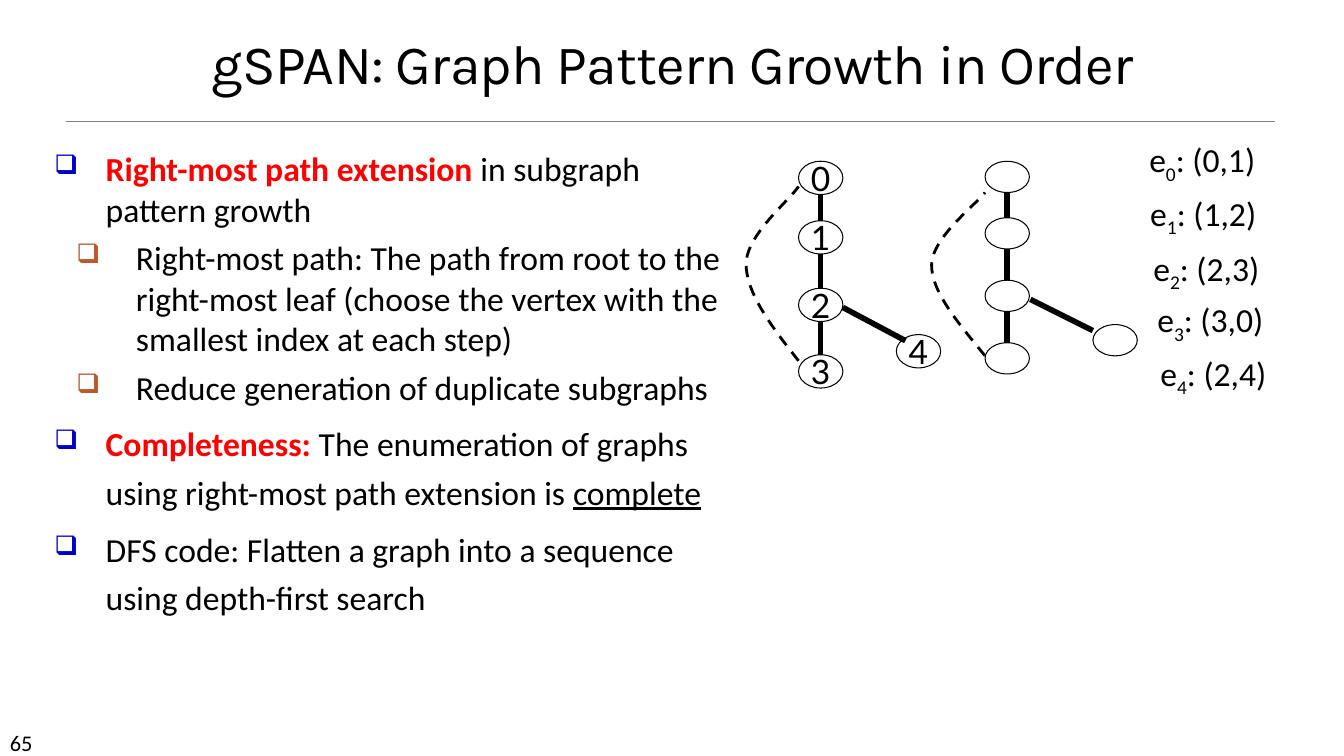
"""Builds the slide on graph pattern growth in order."""
from lxml import etree
from pptx import Presentation, util as u
from pptx.dml.color import RGBColor
from pptx.enum import dml, shapes, text
from pptx.oxml.ns import qn

PX = 9144
HUE = {"ink": "000000", "rule": "808080", "key": "FF0000", "top": "0000CC", "sub": "BD582C"}

deck = Presentation()
deck.slide_width, deck.slide_height = 1333 * PX, 750 * PX
slide = deck.slides.add_slide(deck.slide_layouts[6])
art = slide.shapes


def write(para, words, size, face="Calibri", hue="ink"):
    run = para.add_run()
    run.text = words
    run.font.size = u.Pt(size)
    run.font.name = face
    run.font.color.rgb = RGBColor.from_string(HUE[hue])
    return run


def line(x1, y1, x2, y2, width, hue="ink"):
    bar = art.add_connector(shapes.MSO_CONNECTOR.STRAIGHT, x1 * PX, y1 * PX, x2 * PX, y2 * PX)
    bar.line.width = u.Pt(width)
    bar.line.color.rgb = RGBColor.from_string(HUE[hue])
    etree.SubElement(bar._element.spPr, qn("a:effectLst"))


line(65, 120, 1265, 120, 0.5, "rule")

page = art.add_textbox(0, 718 * PX, 117 * PX, 30 * PX).text_frame
write(page.paragraphs[0], "65", 16)

title = art.add_textbox(56 * PX, 33 * PX, 1222 * PX, 67 * PX).text_frame
title.word_wrap = True
title.vertical_anchor = text.MSO_ANCHOR.BOTTOM
head = title.paragraphs[0]
head.alignment = text.PP_ALIGN.CENTER
head.line_spacing = 0.85
run = write(head, "gSPAN: Graph Pattern Growth in Order", 39.6, "Karla")
run.font._element.set("spc", "-50")

points = [
    ("top", 1, [("Right-most path extension ", "key"), ("in subgraph pattern growth", "")]),
    ("sub", 1, [("Right-most path: The path from root to the right-most leaf "
                 "(choose the vertex with the smallest index at each step)", "")]),
    ("sub", 1, [("Reduce generation of duplicate subgraphs", "")]),
    ("top", 1.2, [("Completeness:", "key"),
                  (" The enumeration of graphs using right-most path extension is ", ""),
                  ("complete", "under")]),
    ("top", 1.2, [("DFS code: Flatten a graph into a sequence using depth-first search", "")]),
]
dents = {"top": (51, -51), "sub": (81, -59)}
body = art.add_textbox(44 * PX, 142 * PX, 695 * PX, 558 * PX).text_frame
body.word_wrap = True
for i, (rank, gap, runs) in enumerate(points):
    para = body.add_paragraph() if i else body.paragraphs[0]
    para.level = int(rank == "sub")
    props = para._p.get_or_add_pPr()
    left, hang = dents[rank]
    props.set("marL", str(left * PX))
    props.set("indent", str(hang * PX))
    tint = etree.SubElement(props, qn("a:buClr"))
    etree.SubElement(tint, qn("a:srgbClr"), val=HUE[rank])
    etree.SubElement(props, qn("a:buSzPct"), val="80000")
    etree.SubElement(props, qn("a:buChar"), char="❑")
    para.line_spacing = gap
    para.space_before = u.Pt(6 if i else 0)
    for words, mark in runs:
        run = write(para, words, 24, hue="key" if mark == "key" else "ink")
        run.font.bold = mark == "key"
        run.font.underline = mark == "under"

graphs = [
    (33, [(792, 160), (792, 219), (792, 286), (792, 352), (889, 332)],
     (836, 305, 898, 338), "01234",
     [(792, 358), (766, 325), (740, 291), (740, 262), (740, 233), (784, 198), (792, 185)]),
    (31, [(977, 160), (977, 216), (977, 278), (977, 340), (1084, 322)],
     (1022, 297, 1084, 328), "",
     [(977, 353), (951, 321), (924, 290), (924, 263), (924, 236), (968, 203), (977, 191)]),
]
for tall, nodes, branch, names, bend in graphs:
    for i, (x, y) in enumerate(nodes):
        node = art.add_shape(shapes.MSO_SHAPE.OVAL, x * PX, y * PX, 44 * PX, tall * PX)
        node.shadow.inherit = False
        node.fill.background()
        node.line.width = u.Pt(0.75)
        node.line.color.rgb = RGBColor.from_string(HUE["ink"])
        if names:
            frame = node.text_frame
            frame.word_wrap = False
            frame.vertical_anchor = text.MSO_ANCHOR.MIDDLE
            frame.paragraphs[0].alignment = text.PP_ALIGN.CENTER
            write(frame.paragraphs[0], names[i], 24, "Lato")
    for (x, y), (_, end) in zip(nodes[:3], nodes[1:4]):
        line(x + 22, y + tall, x + 22, end, 4)
    line(*branch, 4)

    dots = []
    for k in (0, 3):
        for step in range(1, 21):
            t = step / 20
            parts = ((1 - t) ** 3, 3 * t * (1 - t) ** 2, 3 * t * t * (1 - t), t ** 3)
            dots.append([sum(w * p[a] for w, p in zip(parts, bend[k:k + 4])) * PX for a in (0, 1)])
    pen = art.build_freeform(bend[0][0] * PX, bend[0][1] * PX)
    pen.add_line_segments(dots, close=False)
    arc = pen.convert_to_shape()
    arc.shadow.inherit = False
    arc.fill.background()
    arc.line.width = u.Pt(2)
    arc.line.color.rgb = RGBColor.from_string(HUE["ink"])
    arc.line.dash_style = dml.MSO_LINE.DASH

edges = [(1130, 133, "(0,1)"), (1131, 186, "(1,2)"), (1134, 241, "(2,3)"),
         (1138, 292, "(3,0)"), (1141, 345, "(2,4)")]
for i, (x, y, pair) in enumerate(edges):
    frame = art.add_textbox(x * PX, y * PX, 128 * PX, 50 * PX).text_frame
    frame.word_wrap = False
    para = frame.paragraphs[0]
    write(para, "e", 24)
    low = write(para, str(i), 24)
    low.font._element.set("baseline", "-25000")
    write(para, f": {pair}", 24)

deck.save("out.pptx")
